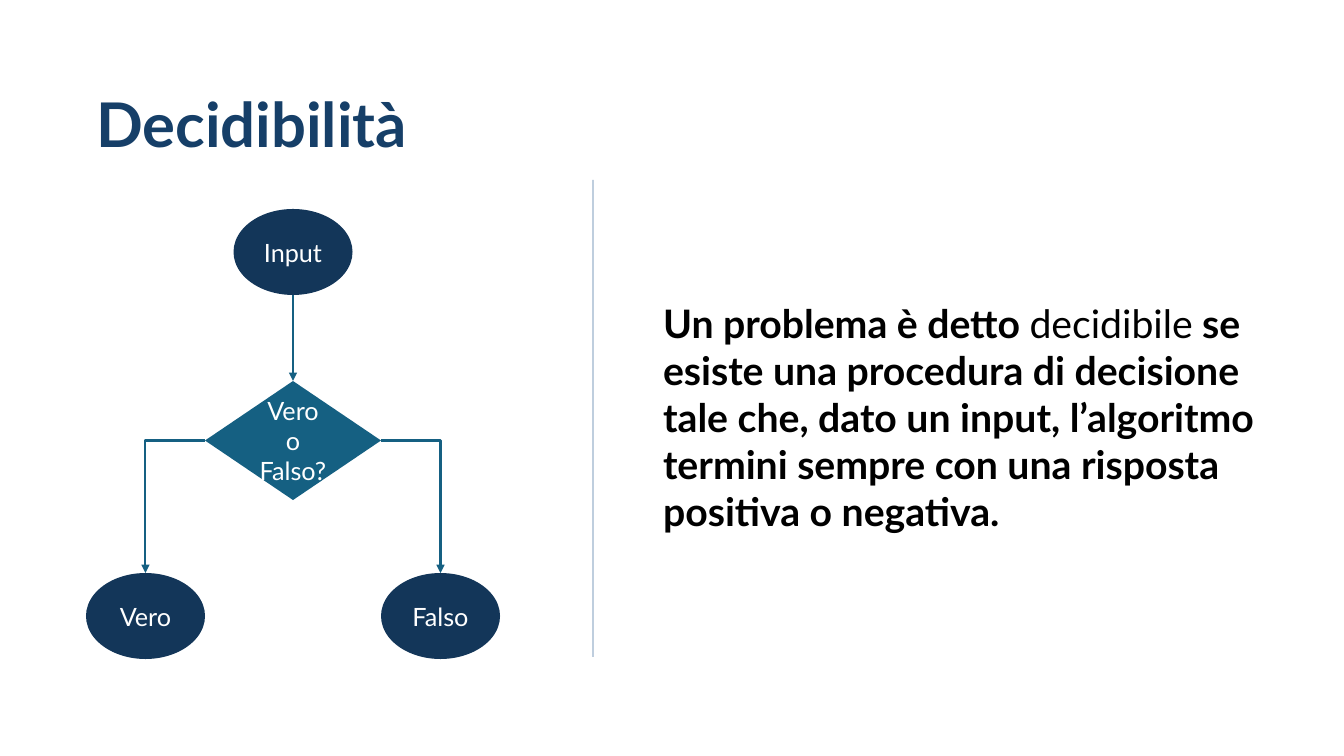
"""Build the slide on decidability: a decision flowchart beside its definition."""
from lxml import etree
from pptx import Presentation
from pptx import util as u
from pptx.dml.color import RGBColor
from pptx.enum import shapes, text
from pptx.oxml.ns import qn

EMU_PER_PX = 914400 / 100.8
FONT = "Lato"
NAVY = RGBColor(0x13, 0x36, 0x59)
TEAL = RGBColor(0x15, 0x60, 0x82)
TITLE_BLUE = RGBColor(0x16, 0x3F, 0x68)
DIVIDER_BLUE = RGBColor(0x1C, 0x52, 0x88)
BLACK = RGBColor(0, 0, 0)
WHITE = RGBColor(0xFF, 0xFF, 0xFF)

NODE_WIDTH, NODE_HEIGHT = 119, 86
TOP, LEFT, RIGHT = 0, 1, 3


def px(length):
    return u.Emu(round(length * EMU_PER_PX))


def set_font(paragraph, size, color):
    paragraph.font.name = FONT
    paragraph.font.size = u.Pt(size)
    paragraph.font.color.rgb = color


def fill_placeholder(placeholder, box, runs, size, color):
    placeholder.left, placeholder.top, placeholder.width, placeholder.height = map(px, box)
    frame = placeholder.text_frame
    frame.word_wrap = True
    frame.auto_size = text.MSO_AUTO_SIZE.NONE
    frame.vertical_anchor = text.MSO_ANCHOR.TOP
    paragraph = frame.paragraphs[0]
    paragraph.alignment = text.PP_ALIGN.LEFT
    paragraph.space_before = u.Pt(0)
    set_font(paragraph, size, color)
    for words, bold in runs:
        run = paragraph.add_run()
        run.text = words
        run.font.bold = bold
    return paragraph


def remove_bullet(paragraph):
    properties = paragraph._p.get_or_add_pPr()
    properties.set("marL", "0")
    properties.set("indent", "0")
    properties.insert_element_before(
        etree.SubElement(properties, qn("a:buNone")), "a:tabLst", "a:defRPr", "a:extLst")


def add_node(slide, kind, left, top, width, height, label, color):
    shape = slide.shapes.add_shape(kind, px(left), px(top), px(width), px(height))
    shape.shadow.inherit = False
    shape.fill.solid()
    shape.fill.fore_color.rgb = color
    shape.line.fill.background()
    shape.text_frame.word_wrap = True
    shape.text_frame.vertical_anchor = text.MSO_ANCHOR.MIDDLE
    paragraph = shape.text_frame.paragraphs[0]
    paragraph.text = label
    paragraph.alignment = text.PP_ALIGN.CENTER
    set_font(paragraph, 18, WHITE)
    return shape


def add_line(slide, kind, begin, end, color, width):
    connector = slide.shapes.add_connector(kind, *map(px, begin + end))
    connector.line.color.rgb = color
    connector.line.width = u.Pt(width)
    etree.SubElement(connector._element.spPr, qn("a:effectLst"))
    return connector


def add_arrow(slide, kind, begin, end):
    connector = add_line(slide, kind, begin, end, TEAL, 1.5)
    etree.SubElement(connector.line._get_or_add_ln(), qn("a:tailEnd"), type="triangle")
    return connector


def add_branch(slide, decision, side, begin, answer, end):
    connector = add_arrow(slide, shapes.MSO_CONNECTOR.ELBOW, begin, end)
    connector._element.spPr.find(qn("a:prstGeom")).set("prst", "bentConnector2")
    connector.begin_connect(decision, side)
    connector.end_connect(answer, TOP)


def add_flowchart(slide):
    center, decision_top, decision_width, decision_height = 293, 381, 176, 119
    decision_middle = decision_top + decision_height / 2
    input_top, answer_top = 209, 573
    oval = shapes.MSO_SHAPE.OVAL

    decision = add_node(slide, shapes.MSO_SHAPE.DIAMOND, center - decision_width / 2,
                        decision_top, decision_width, decision_height, "Vero o Falso?", TEAL)
    add_node(slide, oval, center - NODE_WIDTH / 2, input_top,
             NODE_WIDTH, NODE_HEIGHT, "Input", NAVY)
    arrow = add_arrow(slide, shapes.MSO_CONNECTOR.STRAIGHT,
                      (center, input_top + NODE_HEIGHT), (center, decision_top))
    arrow.end_connect(decision, TOP)

    for label, direction, side in (("Falso", 1, RIGHT), ("Vero", -1, LEFT)):
        corner = center + direction * decision_width / 2
        answer_center = corner + direction * NODE_WIDTH / 2
        answer = add_node(slide, oval, answer_center - NODE_WIDTH / 2, answer_top,
                          NODE_WIDTH, NODE_HEIGHT, label, NAVY)
        add_branch(slide, decision, side, (corner, decision_middle),
                   answer, (answer_center, answer_top))


def add_divider(slide):
    divider = add_line(slide, shapes.MSO_CONNECTOR.STRAIGHT,
                       (593, 180), (593, 657), DIVIDER_BLUE, 0.5)
    color = divider.line._get_or_add_ln().find(".//" + qn("a:srgbClr"))
    etree.SubElement(color, qn("a:alpha"), val="78000")


def main():
    presentation = Presentation()
    presentation.slide_width, presentation.slide_height = px(1344), px(756)
    slide = presentation.slides.add_slide(presentation.slide_layouts[1])
    title, body = slide.placeholders
    fill_placeholder(title, (86, 81, 688, 85), [("Decidibilità", True)], 44, TITLE_BLUE)
    definition = fill_placeholder(body, (653, 294, 663, 201), [
        ("Un problema è detto ", True),
        ("decidibile", False),
        (" se esiste una procedura di decisione tale che, dato un input, "
         "l’algoritmo termini sempre con una risposta positiva o negativa.", True),
    ], 28, BLACK)
    remove_bullet(definition)
    add_flowchart(slide)
    add_divider(slide)
    presentation.save("out.pptx")


if __name__ == "__main__":
    main()
